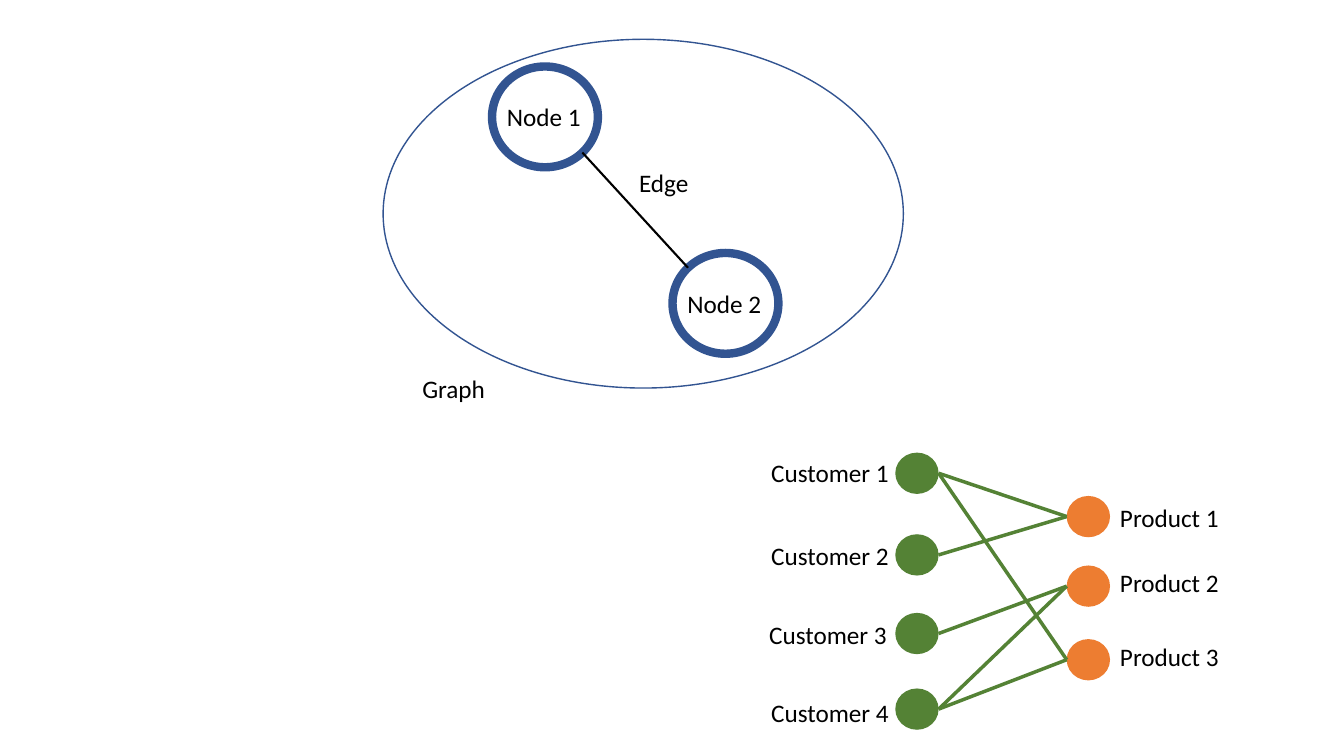
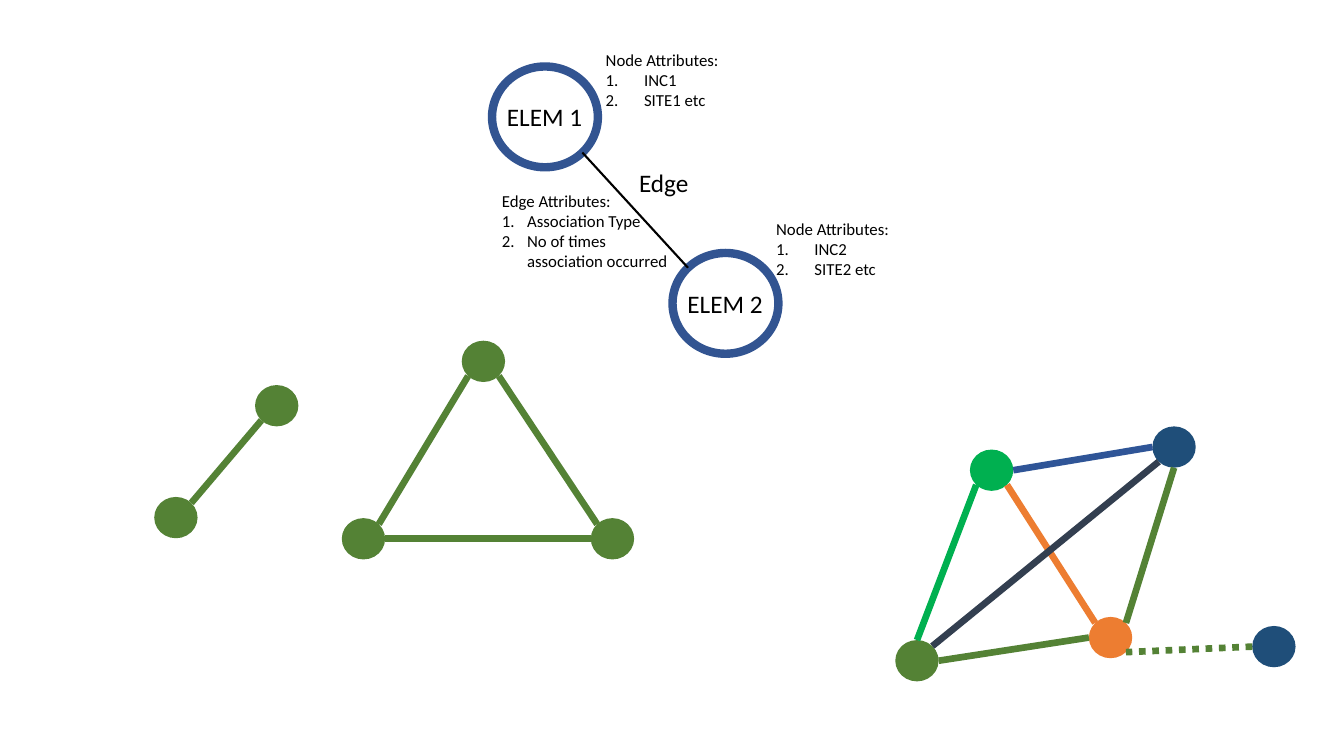
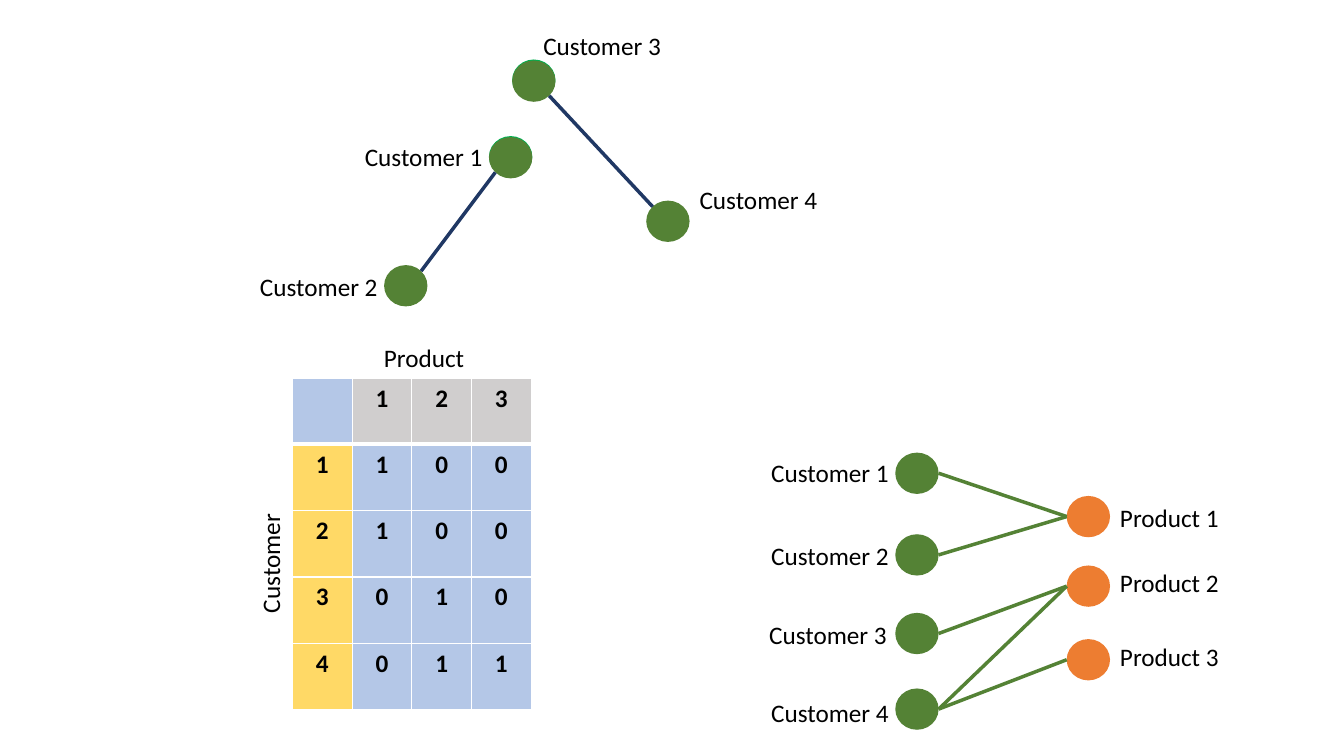
from dataclasses import dataclass
from math import cos, pi, sin

from lxml.etree import SubElement
from pptx import Presentation
from pptx.dml.color import RGBColor
from pptx.enum.dml import MSO_LINE
from pptx.enum.shapes import MSO_CONNECTOR, MSO_SHAPE
from pptx.enum.text import MSO_AUTO_SIZE, PP_ALIGN
from pptx.oxml.ns import qn
from pptx.util import Inches, Pt


@dataclass(frozen=True)
class Theme:
    """Colours, type sizes and line widths shared by the slides."""
    font: str = "Calibri"
    label: int = 18
    note: int = 12
    black: str = "000000"
    white: str = "FFFFFF"
    ring: str = "325491"
    olive: str = "548235"
    green: str = "00B050"
    orange: str = "ED7D31"
    navy: str = "1F4E79"
    blue: str = "2F5597"
    slate: str = "333F50"
    midnight: str = "203864"
    cell: str = "B4C7E7"
    column_head: str = "D0CECE"
    row_head: str = "FFD966"
    ring_line: float = 6
    outline: float = 1
    edge: float = 1.5
    thin: float = 2.5
    thick: float = 4.75


THEME = Theme()
DOT = (0.43, 0.41)
RING = (1.05, 1)
LABEL_HEIGHT = 0.4
CUSTOMER_WIDTH, PRODUCT_WIDTH = 1.38, 1.19
SITES = ("E", "SE", "S", "SW", "W", "NW", "N", "NE")

# Two linked rings: left, top
RINGS = ((4.88, 0.66), (6.67, 2.51))
GRAPH_OUTLINE = (3.8, 0.39, 5.16, 3.46)

# Customers and products: number -> dot top, label left, label top
CUSTOMER_LEFT, PRODUCT_LEFT = 8.88, 10.58
CUSTOMERS = {1: (4.49, 7.55, 4.49), 2: (5.3, 7.55, 5.31),
             3: (6.08, 7.53, 6.09), 4: (6.83, 7.55, 6.87)}
PRODUCTS = {1: (4.92, 11.01, 4.93), 2: (5.61, 11.01, 5.58),
            3: (6.34, 11.01, 6.31)}
PURCHASES = [(1, 1), (2, 1), (3, 2), (4, 2), (4, 3)]
EXTRA_PURCHASE = (1, 3)

# Attribute notes: box, number indent, heading, items
ATTRIBUTES = [
    ((5.91, 0.44, 1.34, 0.71), 0.38, "Node Attributes:", ("INC1", "SITE1 etc")),
    ((7.6, 2.12, 1.34, 0.71), 0.38, "Node Attributes:", ("INC2", "SITE2 etc")),
    ((4.88, 1.84, 1.86, 0.91), 0.25, "Edge Attributes:",
     ("Association Type", "No of times \vassociation occurred")),
]

# Networks: name -> left, top, colour; then start, site, end, site, colour
ASSOCIATION_NODES = {
    "pair low": (1.53, 4.93, THEME.olive),
    "pair high": (2.53, 3.82, THEME.olive),
    "triangle left": (3.39, 5.14, THEME.olive),
    "triangle top": (4.58, 3.38, THEME.olive),
    "triangle right": (5.86, 5.14, THEME.olive),
    "olive": (8.88, 6.35, THEME.olive),
    "green": (9.62, 4.46, THEME.green),
    "orange": (10.8, 6.12, THEME.orange),
    "navy": (11.43, 4.23, THEME.navy),
    "outlier": (12.42, 6.21, THEME.navy),
}
ASSOCIATION_EDGES = [
    ("pair low", "NE", "pair high", "SW", THEME.olive),
    ("triangle left", "NE", "triangle top", "SW", THEME.olive),
    ("triangle right", "W", "triangle left", "E", THEME.olive),
    ("triangle right", "NW", "triangle top", "SE", THEME.olive),
    ("olive", "N", "green", "SW", THEME.green),
    ("orange", "W", "olive", "E", THEME.olive),
    ("orange", "NW", "green", "SE", THEME.orange),
    ("navy", "W", "green", "E", THEME.blue),
    ("orange", "NE", "navy", "S", THEME.olive),
    ("navy", "SW", "olive", "NE", THEME.slate),
]
PREDICTED_EDGES = [("outlier", "W", "orange", "SE", THEME.olive)]

SIMILAR_NODES = {
    "rim 1": (4.85, 1.35, THEME.green),
    "rim 3": (5.08, 0.59, THEME.green),
    1: (4.85, 1.36, THEME.olive),
    2: (3.81, 2.63, THEME.olive),
    3: (5.08, 0.6, THEME.olive),
    4: (6.41, 1.99, THEME.olive),
}
SIMILAR_EDGES = [(1, "SW", 2, "NE", THEME.midnight),
                 (3, "SE", 4, "NW", THEME.midnight)]
SIMILAR_LABELS = {1: (3.52, 1.35), 2: (2.48, 2.64),
                  3: (5.29, 0.25), 4: (6.84, 1.78)}
MATRIX = (2.9, 3.75, 2.37, 3.29)


def rgb(colour):
    """Turn a hex string into a colour."""
    return RGBColor.from_string(colour)


def add_ellipse(slide, box, fill=None, line=None, width=0):
    """Draw an ellipse with an optional fill and outline."""
    ellipse = slide.shapes.add_shape(MSO_SHAPE.OVAL, *map(Inches, box))
    ellipse.shadow.inherit = False
    for part, colour in ((ellipse.fill, fill), (ellipse.line.fill, line)):
        if colour:
            part.solid()
            part.fore_color.rgb = rgb(colour)
        else:
            part.background()
    if line:
        ellipse.line.width = Pt(width)


def site_point(corner, size, site):
    """Return the point on an ellipse that faces a compass direction."""
    angle = SITES.index(site) * pi / 4
    return (corner[0] + size[0] / 2 * (1 + cos(angle)),
            corner[1] + size[1] / 2 * (1 + sin(angle)))


def add_edge(slide, start, end, colour, width, dash=None):
    """Draw a straight line between two points."""
    edge = slide.shapes.add_connector(
        MSO_CONNECTOR.STRAIGHT, *map(Inches, (*start, *end)))
    edge.line.color.rgb = rgb(colour)
    edge.line.width = Pt(width)
    if dash:
        edge.line.dash_style = dash
    SubElement(edge.element.spPr, qn("a:effectLst"))


def style(paragraph, size, bold=False):
    """Apply the shared font to a paragraph."""
    font = paragraph.font
    font.name, font.size, font.bold = THEME.font, Pt(size), bold
    font.color.rgb = rgb(THEME.black)


def add_text(slide, box, lines, size=THEME.label):
    """Add an unwrapped text box with one paragraph per line."""
    label = slide.shapes.add_textbox(*map(Inches, box))
    frame = label.text_frame
    frame.word_wrap = False
    frame.auto_size = MSO_AUTO_SIZE.SHAPE_TO_FIT_TEXT
    for index, line in enumerate(lines):
        paragraph = frame.add_paragraph() if index else frame.paragraphs[0]
        paragraph.text = line
        style(paragraph, size)
    return label


def add_label(slide, text, left, top, width):
    """Add a one-line label."""
    return add_text(slide, (left, top, width, LABEL_HEIGHT), [text])


def add_attributes(slide, box, indent, heading, items):
    """Add a heading followed by numbered items."""
    note = add_text(slide, box, (heading, *items), THEME.note)
    for paragraph in note.text_frame.paragraphs[1:]:
        properties = paragraph._p.get_or_add_pPr()
        properties.set("marL", str(Inches(indent)))
        properties.set("indent", str(-Inches(indent)))
        SubElement(properties, qn("a:buAutoNum"), type="arabicPeriod")


def add_rings(slide, names, name_width):
    """Draw the two named rings and the edge that joins them."""
    for corner in RINGS:
        add_ellipse(slide, (*corner, *RING), THEME.white, THEME.ring, THEME.ring_line)
    add_edge(slide, site_point(RINGS[0], RING, "SE"),
             site_point(RINGS[1], RING, "NW"), THEME.black, THEME.edge)
    for name, (left, top) in zip(names, RINGS):
        add_label(slide, name, left + 0.05, top + 0.3, name_width)
    add_label(slide, "Edge", 6.24, 1.61, 0.7)


def add_edges(slide, nodes, edges, width, dash=None):
    """Join dots from site to site."""
    for start, start_site, end, end_site, colour in edges:
        add_edge(slide, site_point(nodes[start], DOT, start_site),
                 site_point(nodes[end], DOT, end_site), colour, width, dash)


def add_network(slide, nodes, edges, width):
    """Draw dots and the edges between them."""
    for left, top, colour in nodes.values():
        add_ellipse(slide, (left, top, *DOT), colour)
    add_edges(slide, nodes, edges, width)


def add_purchases(slide, purchases):
    """Draw customers joined to the products they bought."""
    nodes = {}
    for group, places, left, colour, width in (
            ("Customer", CUSTOMERS, CUSTOMER_LEFT, THEME.olive, CUSTOMER_WIDTH),
            ("Product", PRODUCTS, PRODUCT_LEFT, THEME.orange, PRODUCT_WIDTH)):
        for number, (top, label_left, label_top) in places.items():
            nodes[group, number] = (left, top, colour)
            add_label(slide, f"{group} {number}", label_left, label_top, width)
    edges = [(("Product", product), "W", ("Customer", customer), "E", THEME.olive)
             for customer, product in purchases]
    add_network(slide, nodes, edges, THEME.thin)


def add_borders(cell, row):
    """Give a cell white borders, heavier under the header row."""
    properties = cell._tc.get_or_add_tcPr()
    heavy_side = {0: "B", 1: "T"}.get(row)
    for side in "LRTB":
        width = Pt(3 if side == heavy_side else 1)
        line = SubElement(properties, qn(f"a:ln{side}"), w=str(width))
        fill = SubElement(line, qn("a:solidFill"))
        SubElement(fill, qn("a:srgbClr"), val=THEME.white)


def add_matrix(slide, purchases):
    """Tabulate which customer bought which product."""
    rows = [["", *PRODUCTS]] + [
        [customer, *(int((customer, product) in purchases) for product in PRODUCTS)]
        for customer in CUSTOMERS]
    matrix = slide.shapes.add_table(
        len(rows), len(rows[0]), *map(Inches, MATRIX)).table
    for row, values in enumerate(rows):
        for column, value in enumerate(values):
            cell = matrix.cell(row, column)
            cell.text = str(value)
            paragraph = cell.text_frame.paragraphs[0]
            paragraph.alignment = PP_ALIGN.CENTER
            style(paragraph, THEME.label, bold=True)
            add_borders(cell, row)
            fill = THEME.cell
            if row == 0 and column:
                fill = THEME.column_head
            elif row and column == 0:
                fill = THEME.row_head
            cell.fill.solid()
            cell.fill.fore_color.rgb = rgb(fill)
    add_label(slide, "Product", 3.71, 3.35, 1.01)
    add_label(slide, "Customer", 2.08, 5.38, 1.2).rotation = 270


def build_graph(slide):
    """Explain node, edge and graph, with a purchase graph."""
    add_rings(slide, ("Node 1", "Node 2"), 0.94)
    add_ellipse(slide, GRAPH_OUTLINE, line=THEME.ring, width=THEME.outline)
    add_label(slide, "Graph", 4.09, 3.65, 0.83)
    add_purchases(slide, PURCHASES + [EXTRA_PURCHASE])


def build_associations(slide):
    """Show element attributes and association networks."""
    add_rings(slide, ("ELEM 1", "ELEM 2"), 0.96)
    for attributes in ATTRIBUTES:
        add_attributes(slide, *attributes)
    add_network(slide, ASSOCIATION_NODES, ASSOCIATION_EDGES, THEME.thick)
    add_edges(slide, ASSOCIATION_NODES, PREDICTED_EDGES, THEME.thick,
              MSO_LINE.ROUND_DOT)


def build_similarity(slide):
    """Link similar customers through the purchase matrix."""
    add_purchases(slide, PURCHASES)
    add_network(slide, SIMILAR_NODES, SIMILAR_EDGES, THEME.thin)
    for number, place in SIMILAR_LABELS.items():
        add_label(slide, f"Customer {number}", *place, CUSTOMER_WIDTH)
    add_matrix(slide, PURCHASES)


def main():
    """Build and save the presentation."""
    deck = Presentation()
    deck.slide_width, deck.slide_height = Inches(13.33), Inches(7.5)
    blank = deck.slide_layouts[6]
    for build in (build_graph, build_associations, build_similarity):
        build(deck.slides.add_slide(blank))
    deck.save("out.pptx")


main()
